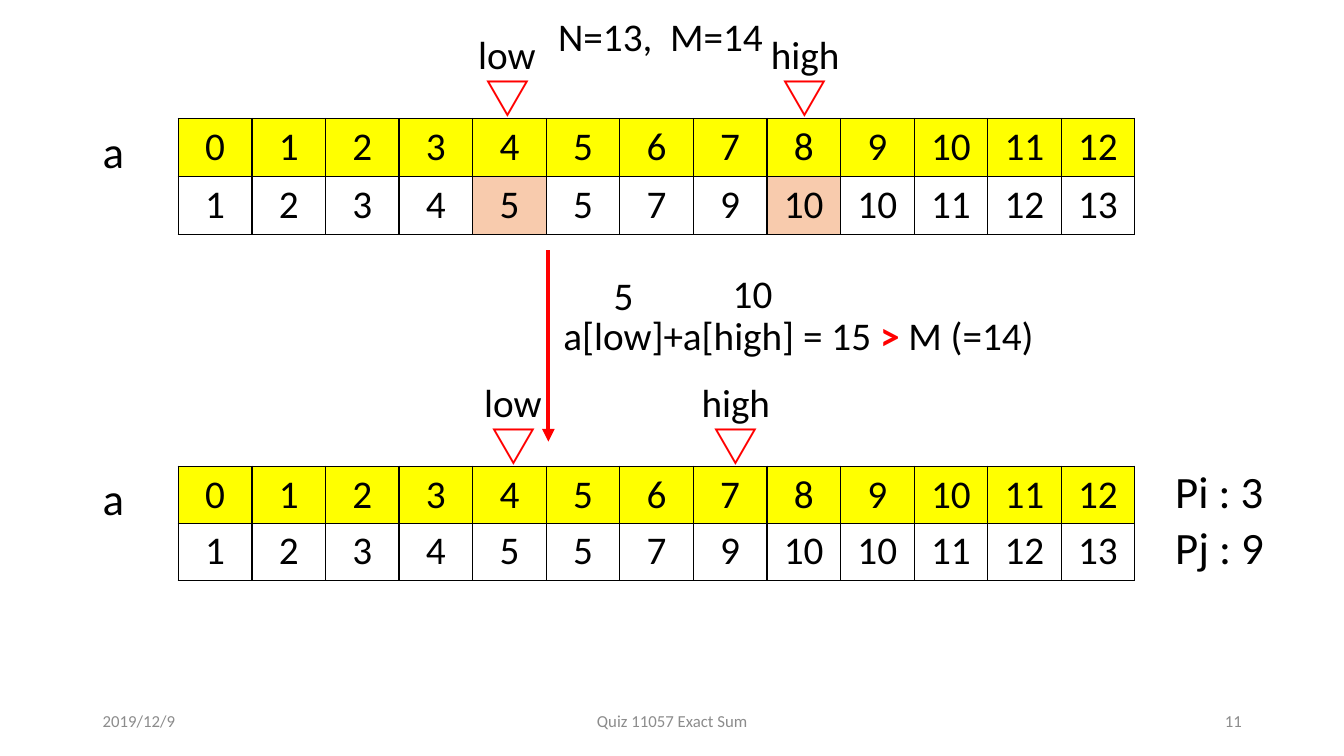
from lxml import etree
from pptx import Presentation
from pptx.dml.color import RGBColor
from pptx.enum.shapes import MSO_CONNECTOR
from pptx.enum.text import MSO_ANCHOR, PP_ALIGN
from pptx.oxml.ns import qn
from pptx.util import Pt

LEFT, MID, RIGHT = PP_ALIGN.LEFT, PP_ALIGN.CENTER, PP_ALIGN.RIGHT
TOP, CENTRE = MSO_ANCHOR.TOP, MSO_ANCHOR.MIDDLE
STRAIGHT = MSO_CONNECTOR.STRAIGHT
COLORS = {"ink": "000000", "red": "FF0000", "gray": "8C8C8C",
          "head": "FFFF00", "body": "FFFFFF", "hot": "F8CBAD"}
LATIN, SYMBOL = "Calibri", "Noto Sans CJK TC"
VALUES = [1, 2, 3, 4, 5, 5, 7, 9, 10, 10, 11, 12, 13]
# Each pointer label: shift from its triangle, width
LABELS = {"low": (-5.4, 56.9), "high": (-8.6, 68.4)}


def color(name):
    return RGBColor.from_string(COLORS[name])


def add_run(para, text, size=28, tint="ink", bold=False, face=LATIN):
    run = para.add_run()
    run.text = text
    style = {"size": Pt(size), "bold": bold, "name": face}
    for key, value in style.items():
        setattr(run.font, key, value)
    run.font.color.rgb = color(tint)
    if face == SYMBOL:
        for tag in ("a:ea", "a:sym"):
            etree.SubElement(run.font._element, qn(tag), typeface=face)


def add_text(slide, box, runs, align=LEFT, anchor=TOP):
    """Add one line of text; each run is a dict of add_run arguments."""
    frame = slide.shapes.add_textbox(*map(Pt, box)).text_frame
    frame.word_wrap = False
    frame.vertical_anchor = anchor
    para = frame.paragraphs[0]
    para.alignment = align
    for run in runs:
        add_run(para, **run)


def add_edges(cell):
    """Draw the four cell borders ahead of the fill, as the schema asks."""
    props = cell._tc.get_or_add_tcPr()
    for spot, side in enumerate(("lnL", "lnR", "lnT", "lnB")):
        line = etree.Element(qn("a:" + side), w=str(Pt(1)))
        fill = etree.SubElement(line, qn("a:solidFill"))
        etree.SubElement(fill, qn("a:srgbClr"), val=COLORS["ink"])
        props.insert(spot, line)


def add_grid(slide, box, hot):
    heads = range(len(VALUES))
    table = slide.shapes.add_table(2, len(VALUES), *map(Pt, box)).table
    for col in table.columns:
        col.width = Pt(box[2] / len(VALUES))
    for r, items in enumerate((heads, VALUES)):
        table.rows[r].height = Pt(box[3] / 2)
        for c, item in enumerate(items):
            cell = table.cell(r, c)
            style = {"margin_left": Pt(3), "margin_right": Pt(3),
                     "margin_top": Pt(3.2), "margin_bottom": Pt(3.2),
                     "vertical_anchor": CENTRE}
            for key, value in style.items():
                setattr(cell, key, value)
            cell.fill.solid()
            tint = "head" if r == 0 else "hot" if c in hot else "body"
            cell.fill.fore_color.rgb = color(tint)
            add_edges(cell)
            para = cell.text_frame.paragraphs[0]
            para.alignment = MID
            add_run(para, str(item))


def add_array(slide, box, marks, hot=()):
    """Add the array, its name and its pointers; marks are offsets in x."""
    x, y = box[:2]
    add_grid(slide, box, hot)
    add_text(slide, (x - 61.2, y, 28.8, 46), [{"text": "a", "size": 32}])
    for name, mark in marks.items():
        shift, width = LABELS[name]
        add_text(slide, (x + mark, y - 38.5, 51, 46),
                 [{"text": "▽", "size": 32, "tint": "red", "bold": True,
                   "face": SYMBOL}])
        add_text(slide, (x + mark + shift, y - 66.6, width, 41),
                 [{"text": name}])


def add_step(slide, box):
    """Add the arrow down the left edge and the test beside it."""
    x, y, _, high = box
    arrow = slide.shapes.add_connector(
        STRAIGHT, Pt(x), Pt(y), Pt(x), Pt(y + high))
    arrow.line.color.rgb = color("red")
    arrow.line.width = Pt(3)
    etree.SubElement(arrow.line._get_or_add_ln(), qn("a:tailEnd"),
                     type="triangle")
    etree.SubElement(arrow._element.spPr, qn("a:effectLst"))
    add_text(slide, (x + 3.6, y + 40.3, 351.4, 41),
             [{"text": "a[low]+a[high] = 15 "},
              {"text": ">", "tint": "red", "bold": True},
              {"text": " M (=14)"}])
    add_text(slide, (x + 39.6, y + 11.5, 34.6, 41), [{"text": "5"}])
    add_text(slide, (x + 124.6, y + 10.1, 46, 41), [{"text": "10"}])


def add_pair(slide, box):
    x, y, wide, high = box
    for i, text in enumerate(("Pi : 3", "Pj : 9")):
        add_text(slide, (x, y + i * high / 2, wide, 46),
                 [{"text": text, "size": 32}])


def add_foot(slide, box):
    x, y, wide, high = box
    parts = (("2019/12/9", x, 216, LEFT),
             ("Quiz 11057 Exact Sum", x + (wide - 324) / 2, 324, MID),
             ("11", x + wide - 216, 216, RIGHT))
    for text, left, span, align in parts:
        add_text(slide, (left, y, span, high),
                 [{"text": text, "size": 12, "tint": "gray"}], align, CENTRE)


def main():
    deck = Presentation()
    deck.slide_width, deck.slide_height = Pt(960), Pt(540)
    slide = deck.slides.add_slide(deck.slide_layouts[6])
    add_text(slide, (391.7, 5, 170.6, 41), [{"text": "N=13,  M=14"}])
    add_array(slide, (127.4, 84.6, 683.3, 82.8),
              {"low": 212.4, "high": 424.8}, hot=(4, 8))
    add_step(slide, (391.7, 178.6, 355, 136.8))
    add_array(slide, (127.4, 333, 683.3, 81.4),
              {"low": 216.8, "high": 375.2})
    add_pair(slide, (832.3, 327.6, 109.4, 80.6))
    add_foot(slide, (66.2, 500.4, 828, 28.8))
    deck.save("out.pptx")


if __name__ == "__main__":
    main()
